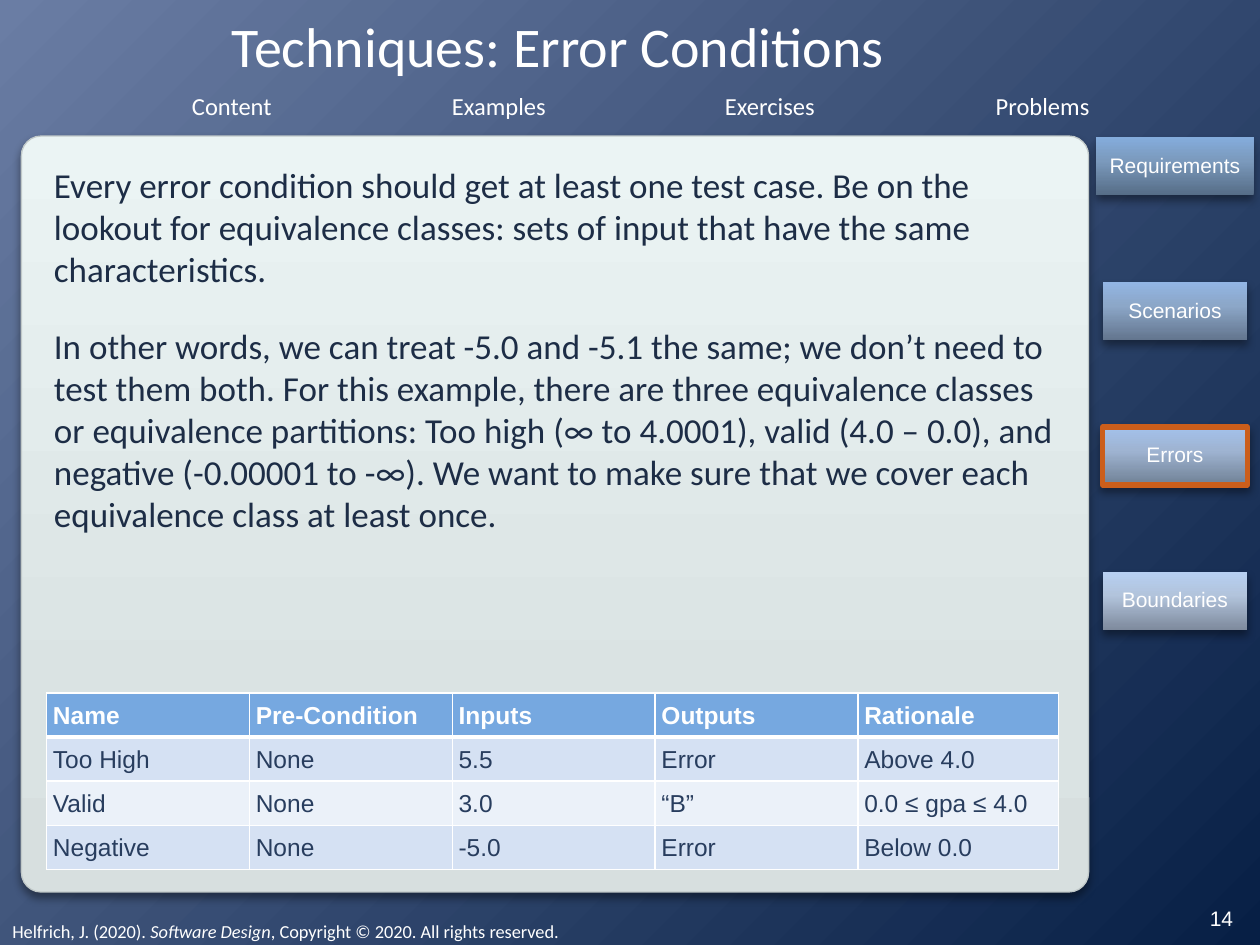
from copy import deepcopy
from dataclasses import dataclass

from lxml.etree import SubElement
from pptx import Presentation
from pptx.dml.color import RGBColor
from pptx.enum.shapes import MSO_SHAPE as Shape
from pptx.enum.text import MSO_ANCHOR as Anchor, PP_ALIGN as Align
from pptx.oxml.ns import qn
from pptx.util import Inches, Pt

WHITE = RGBColor(0xFF, 0xFF, 0xFF)
BODY_INK = RGBColor(0x1D, 0x2D, 0x46)
TABLE_INK = RGBColor(0x28, 0x3D, 0x5E)
HEADER_BLUE = RGBColor(0x76, 0xA8, 0xE0)
ROW_BLUES = (RGBColor(0xEB, 0xF1, 0xF9), RGBColor(0xD5, 0xE1, 0xF3))
PANEL_EDGE = RGBColor(0xC1, 0xC9, 0xC9)
CURRENT_EDGE = RGBColor(0xCB, 0x5E, 0x1B)
BACKDROP = (RGBColor(0x6A, 0x7D, 0xA4), RGBColor(0x07, 0x1F, 0x45))
PANEL = (RGBColor(0xD7, 0xDF, 0xDF), RGBColor(0xDA, 0xE3, 0xE3), RGBColor(0xEB, 0xF4, 0xF4))


@dataclass
class Section:
    label: str
    left: float
    width: float


@dataclass
class Topic:
    label: str
    shades: tuple[RGBColor, RGBColor, RGBColor]
    width: float = 1.15
    current: bool = False


SECTIONS = [
    Section("Content", 1.42, 0.84),
    Section("Examples", 3.48, 0.96),
    Section("Exercises", 5.65, 0.92),
    Section("Problems", 7.8, 0.95),
]
TOPICS = [
    Topic("Requirements", (RGBColor(0x56, 0x6D, 0x87), RGBColor(0x7B, 0x9A, 0xBD),
                           RGBColor(0x84, 0xAC, 0xDC)), width=1.25),
    Topic("Scenarios", (RGBColor(0x63, 0x75, 0x8E), RGBColor(0x8C, 0xA7, 0xC8),
                        RGBColor(0x92, 0xB5, 0xE4))),
    Topic("Errors", (RGBColor(0x70, 0x81, 0x95), RGBColor(0x9F, 0xB4, 0xD2),
                     RGBColor(0xA3, 0xC1, 0xEB)), current=True),
    Topic("Boundaries", (RGBColor(0x7E, 0x8A, 0x9D), RGBColor(0xB2, 0xC4, 0xDC),
                         RGBColor(0xB6, 0xCF, 0xF1))),
]
TEST_CASES = [
    ("Name", "Pre-Condition", "Inputs", "Outputs", "Rationale"),
    ("Too High", "None", "5.5", "Error", "Above 4.0"),
    ("Valid", "None", "3.0", "“B”", "0.0 ≤ gpa ≤ 4.0"),
    ("Negative", "None", "-5.0", "Error", "Below 0.0"),
]
BODY = (
    "Every error condition should get at least one test case. Be on the lookout for "
    "equivalence classes: sets of input that have the same characteristics.\n"
    "In other words, we can treat -5.0 and -5.1 the same; we don’t need to test them both. "
    "For this example, there are three equivalence classes or equivalence partitions: "
    "Too high (∞ to 4.0001), valid (4.0 – 0.0), and negative (-0.00001 to -∞). "
    "We want to make sure that we cover each equivalence class at least once."
)


def paint_gradient(fill, element, colors: tuple, positions: tuple, angle: float) -> None:
    fill.gradient()
    fill.gradient_angle = angle
    stop_list = next(element.iter(qn("a:gsLst")))
    while len(stop_list) < len(colors):
        stop_list.append(deepcopy(stop_list[0]))
    for stop, color, position in zip(fill.gradient_stops, colors, positions):
        stop.color.rgb = color
        stop.position = position


def add_shadow(shape) -> None:
    shape.shadow.inherit = False
    effects = shape.element.spPr.find(qn("a:effectLst"))
    shadow = SubElement(effects, qn("a:outerShdw"), blurRad=str(Pt(5.2)), dist=str(Pt(3)),
                        dir="5400000", rotWithShape="0")
    black = SubElement(shadow, qn("a:srgbClr"), val="000000")
    SubElement(black, qn("a:alpha"), val="40000")


def style_text(frame, size: float, font: str, color: RGBColor, align=Align.LEFT,
               bold: bool = False, spacing: float | None = None) -> None:
    for paragraph in frame.paragraphs:
        paragraph.alignment = align
        paragraph.line_spacing = spacing
        for run in paragraph.runs:
            run.font.size, run.font.name, run.font.bold = Pt(size), font, bold
            run.font.color.rgb = color


def set_margins(frame, margin: float) -> None:
    frame.margin_left = frame.margin_right = Inches(margin)
    frame.margin_top = frame.margin_bottom = Inches(margin)


def add_text(slide, box: tuple, text: str, size: float, font: str = "Calibri",
             color: RGBColor = WHITE, align=Align.LEFT, anchor=Anchor.TOP, wrap: bool = True):
    frame = slide.shapes.add_textbox(*map(Inches, box)).text_frame
    frame.word_wrap = wrap
    frame.vertical_anchor = anchor
    frame.text = text
    style_text(frame, size, font, color, align)
    return frame


def add_topic(slide, topic: Topic, top: float) -> None:
    left = 9.325 - topic.width / 2
    button = slide.shapes.add_shape(Shape.RECTANGLE, Inches(left), Inches(top),
                                    Inches(topic.width), Inches(0.46))
    paint_gradient(button.fill, button.element, topic.shades, (0, 0.6, 1), 90)
    if topic.current:
        button.line.color.rgb = CURRENT_EDGE
        button.line.width = Pt(3)
    else:
        button.line.fill.background()
    add_shadow(button)
    frame = button.text_frame
    set_margins(frame, 0.08)
    frame.vertical_anchor = Anchor.MIDDLE
    frame.text = topic.label
    style_text(frame, 12, "Arial", WHITE, Align.CENTER, spacing=0.9)


def add_borders(cell, row: int) -> None:
    properties = cell._tc.get_or_add_tcPr()
    widths = {"L": 1, "R": 1, "T": 3 if row == 1 else 1, "B": 3 if row == 0 else 1}
    for side, width in widths.items():
        line = SubElement(properties, qn(f"a:ln{side}"), w=str(Pt(width)))
        SubElement(SubElement(line, qn("a:solidFill")), qn("a:srgbClr"), val=str(WHITE))


def add_test_cases(slide) -> None:
    widths = (1.61, 1.61, 1.61, 1.61, 1.59)
    row_height = Inches(0.33)
    table = slide.shapes.add_table(len(TEST_CASES), len(widths), Inches(0.37), Inches(5.5),
                                   Inches(sum(widths)), row_height * len(TEST_CASES)).table
    for column, width in zip(table.columns, widths):
        column.width = Inches(width)
    for r, values in enumerate(TEST_CASES):
        table.rows[r].height = row_height
        header = r == 0
        for c, value in enumerate(values):
            cell = table.cell(r, c)
            add_borders(cell, r)
            cell.fill.solid()
            cell.fill.fore_color.rgb = HEADER_BLUE if header else ROW_BLUES[r % 2]
            set_margins(cell, 0.05)
            cell.vertical_anchor = Anchor.MIDDLE
            cell.text_frame.text = value
            style_text(cell.text_frame, 14, "Arial", WHITE if header else TABLE_INK,
                       Align.LEFT if header else Align.JUSTIFY, header, 1.07)


presentation = Presentation()
presentation.slide_width, presentation.slide_height = Inches(10), Inches(7.5)
slide = presentation.slides.add_slide(presentation.slide_layouts[6])

# Backdrop and content panel
paint_gradient(slide.background.fill, slide.element, BACKDROP, (0, 1), 315)
panel = slide.shapes.add_shape(Shape.ROUNDED_RECTANGLE, Inches(0.17), Inches(1.08),
                               Inches(8.47), Inches(6))
panel.adjustments[0] = 0.026
paint_gradient(panel.fill, panel.element, PANEL, (0, 0.25, 1), 90)
panel.line.color.rgb = PANEL_EDGE
panel.line.width = Pt(0.75)
add_shadow(panel)

# Title and section labels
title = add_text(slide, (0.22, 0.11, 8.42, 0.5), "Techniques: Error Conditions", 32,
                 align=Align.CENTER, anchor=Anchor.MIDDLE)
set_margins(title, 0)
for section in SECTIONS:
    add_text(slide, (section.left, 0.67, section.width, 0.34), section.label, 14,
             align=Align.CENTER, wrap=False)

# Explanation
explanation = add_text(slide, (0.33, 1.25, 8.17, 3.17), BODY, 20, color=BODY_INK)
explanation.paragraphs[1].space_before = Pt(20)

# Topic buttons and test cases
for index, topic in enumerate(TOPICS):
    add_topic(slide, topic, 1.09 + 1.15 * index)
add_test_cases(slide)

# Footer
credit = add_text(slide, (0, 7.25, 9, 0.29), "Helfrich, J. (2020). ", 10.5)
for text, italic in (("Software Design", True),
                     (", Copyright © 2020. All rights reserved.", False)):
    run = credit.paragraphs[0].add_run()
    run.text = text
    run.font.italic = italic
style_text(credit, 10.5, "Calibri", WHITE)
add_text(slide, (9.36, 7.08, 0.67, 0.42), "14", 12, "Arial",
         align=Align.CENTER, anchor=Anchor.MIDDLE)

presentation.save("out.pptx")
